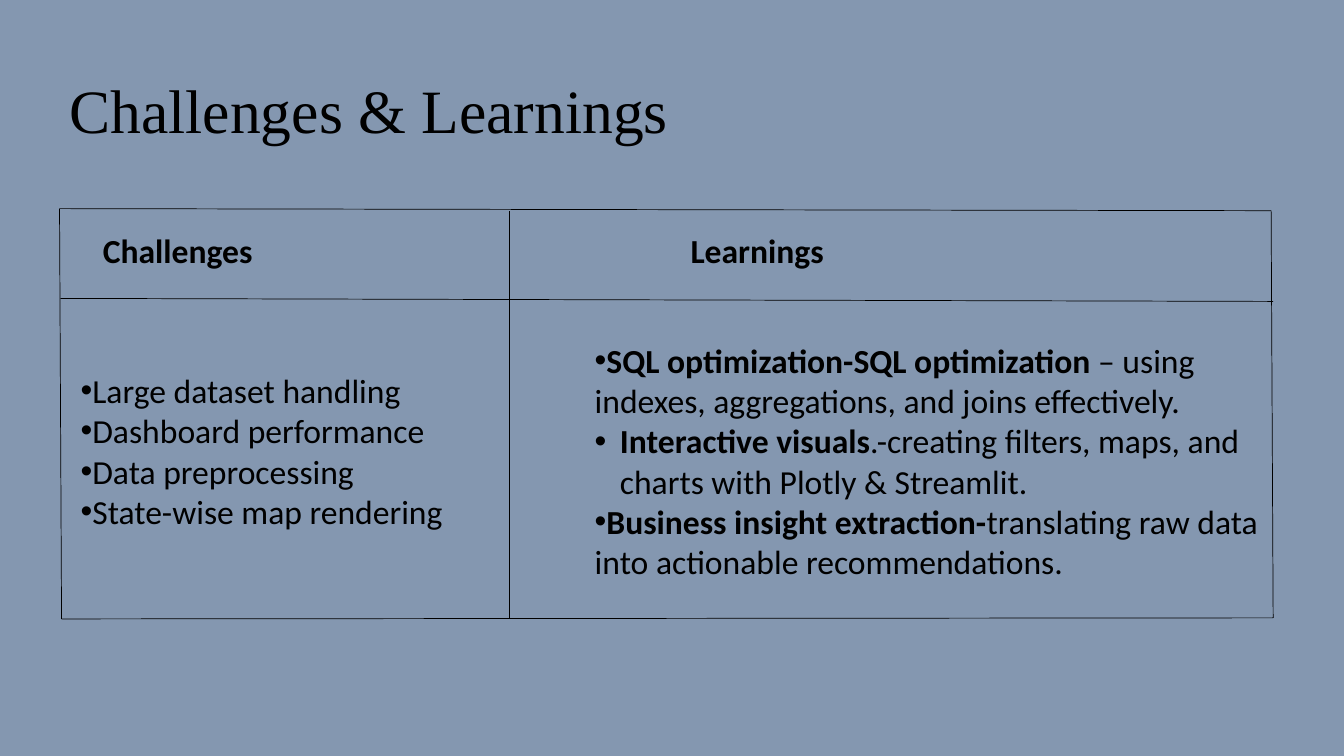
import pptx
import pptx.util
import pptx.dml.color
import pptx.enum.shapes
import pptx.enum.text
import pptx.oxml.ns
import lxml.etree

Pt = pptx.util.Pt
Anchor = pptx.enum.text.MSO_ANCHOR
BLACK = pptx.dml.color.RGBColor(0x00, 0x00, 0x00)
SLATE = pptx.dml.color.RGBColor(0x84, 0x97, 0xB0)

deck = pptx.Presentation()
deck.slide_width = pptx.util.Inches(13.333)
deck.slide_height = pptx.util.Inches(7.5)
slide = deck.slides.add_slide(deck.slide_layouts.get_by_name("Comparison"))
slide.background.fill.solid()
slide.background.fill.fore_color.rgb = SLATE


def place(x, y):
    """Turn percent of the slide's width and height into lengths."""
    return round(deck.slide_width * x / 100), round(deck.slide_height * y / 100)


def write(text, holder, box, size=24, font="Calibri", anchor=Anchor.MIDDLE,
          line=1.0, before=0, bullet=False):
    """Fill a placeholder; each item of text is (bold part, plain part, indent)."""
    holder.left, holder.top = place(*box[:2])
    holder.width, holder.height = place(*box[2:])
    frame = holder.text_frame
    frame.word_wrap = True
    frame.auto_size = pptx.enum.text.MSO_AUTO_SIZE.NONE
    frame.vertical_anchor = anchor
    for row, (bold, plain, indent) in enumerate(text):
        para = frame.add_paragraph() if row else frame.paragraphs[0]
        para.alignment = pptx.enum.text.PP_ALIGN.LEFT
        para.line_spacing = line
        para.space_before = Pt(before)
        para.space_after = Pt(0)
        for part, heavy in ((bold, True), (plain, False)):
            if part:
                run = para.add_run()
                run.text = part
                run.font.name = font
                run.font.size = Pt(size)
                run.font.bold = heavy
                run.font.color.rgb = BLACK
        props = para._p.get_or_add_pPr()
        props.set("marL", str(Pt(indent)))
        props.set("indent", str(-Pt(indent)))
        if bullet:
            face = lxml.etree.SubElement(props, pptx.oxml.ns.qn("a:buFont"))
            face.set("typeface", "Arial")
            mark = lxml.etree.SubElement(props, pptx.oxml.ns.qn("a:buChar"))
            mark.set("char", "•")


title, head_left, list_left, head_right, list_right = list(slide.placeholders)[:5]

write([("", "Challenges & Learnings", 0)], title, (4.43, 5.33, 90.15, 19.33),
      size=44, font="Times New Roman", line=0.9)

heads = [
    ("Challenges", head_left, (6.9, 24.53, 42.3, 12)),
    ("Learnings", head_right, (50.63, 24.53, 42.53, 12)),
]
for label, holder, box in heads:
    write([(label, "", 0)], holder, box, anchor=Anchor.BOTTOM, line=0.9, before=10)

hurdles = ["Large dataset handling", "Dashboard performance",
           "Data preprocessing", "State-wise map rendering"]
lessons = [
    ("SQL optimization-SQL optimization",
     " – using indexes, aggregations, and joins effectively.", 0),
    ("Interactive visuals",
     ".-creating filters, maps, and charts with Plotly & Streamlit.", 18),
    ("Business insight extraction-",
     "translating raw data into actionable recommendations.", 0),
]
write([("", item, 0) for item in hurdles], list_left,
      (5.25, 48.13, 38.93, 22.93), bullet=True)
write(lessons, list_right, (43.5, 44.13, 53.03, 33.6), bullet=True)

# Hand-drawn grid: four slightly slanted sides, a column rule and a row rule
nw, ne, se, sw = (4.43, 27.6), (94.58, 27.87), (94.73, 81.73), (4.58, 81.87)
rules = [
    (nw, sw), (nw, ne), (ne, se), (se, sw),
    ((37.88, 81.73), (37.88, 27.87)),
    ((4.5, 39.47), (94.73, 39.87)),
]
for start, end in rules:
    rule = slide.shapes.add_connector(
        pptx.enum.shapes.MSO_CONNECTOR.STRAIGHT, *place(*start), *place(*end))
    rule.line.color.rgb = BLACK
    rule.line.width = Pt(0.5)
    lxml.etree.SubElement(rule._element.spPr, pptx.oxml.ns.qn("a:effectLst"))

deck.save("out.pptx")
